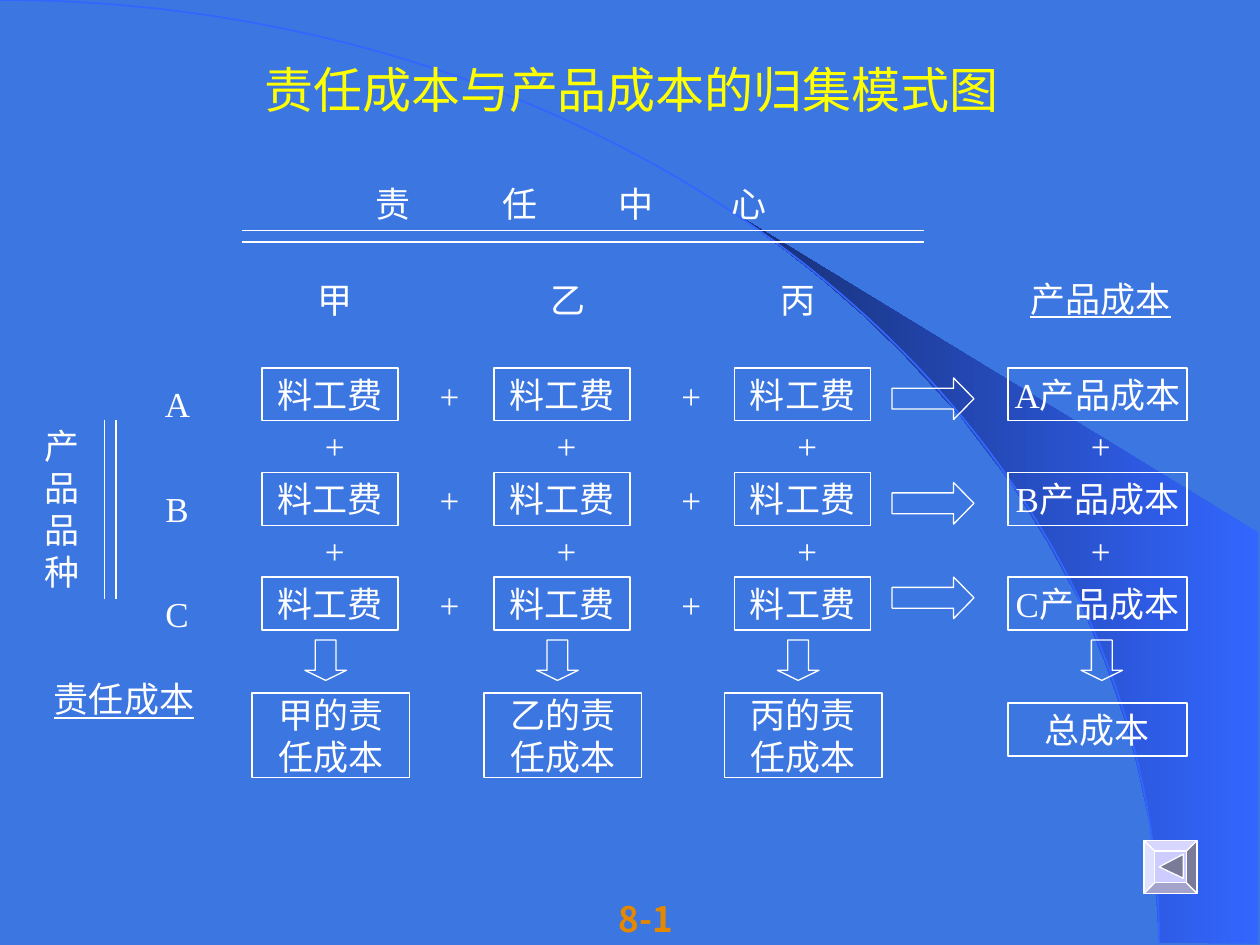
from lxml import etree
from pptx import Presentation
from pptx.dml.color import RGBColor
from pptx.enum.shapes import MSO_CONNECTOR, MSO_SHAPE
from pptx.enum.text import MSO_ANCHOR, PP_ALIGN
from pptx.oxml.ns import qn
from pptx.util import Inches, Pt

WHITE = "FFFFFF"
YELLOW = "FFFF00"
ORANGE = "E48800"
BLUE = "3366FF"
SERIF = "Times New Roman"
CHINESE = "Noto Sans CJK SC"

# Each center: left edge of its column, left edge of its label
CENTERS = {"甲": (2.08, 2.42), "乙": (3.92, 4.27), "丙": (5.83, 6.09)}
PRODUCTS = {"A": 2.92, "B": 3.75, "C": 4.58}  # top edge of each row
BOX_HEIGHT = 0.42
TOTAL_LEFT = 8

WEDGE = [
    (9.2, 7.48), (9.99, 7.49), (9.99, 4.23), (5.89, 1.73), (6.24, 1.99),
    (6.53, 2.22), (6.85, 2.5), (7.16, 2.8), (7.62, 3.3), (8.03, 3.84),
    (8.32, 4.31), (8.58, 4.79), (8.78, 5.28), (8.93, 5.72), (9.03, 6.09),
    (9.13, 6.56), (9.17, 6.96),
]
BUTTON_TRIANGLE = [(9.2, 6.88), (9.39, 6.78), (9.39, 6.97)]


def rgb(value):
    return RGBColor.from_string(value)


def place(left, top, width, height):
    return [Inches(value) for value in (left, top, width, height)]


def write(shape, text, size=20, color=WHITE, font=SERIF, align=PP_ALIGN.CENTER,
          wrap=False, bold=False, underline=False):
    frame = shape.text_frame
    frame.text = text
    frame.word_wrap = wrap
    for paragraph in frame.paragraphs:
        paragraph.alignment = align
        if text != "+":
            paragraph.line_spacing = Pt(size * 1.2)
        for run in paragraph.runs:
            run.font.size = Pt(size)
            run.font.name = font
            run.font.bold = bold
            run.font.underline = underline
            run.font.color.rgb = rgb(color)
            east_asian = etree.SubElement(run.font._element, qn("a:ea"))
            east_asian.set("typeface", CHINESE)


def add_label(slide, text, left, top, width=0.48, height=0.44, **style):
    shape = slide.shapes.add_textbox(*place(left, top, width, height))
    write(shape, text, **style)
    return shape


def set_line(shape, color=WHITE, weight=0.75):
    shape.line.color.rgb = rgb(color)
    shape.line.width = Pt(weight)


def set_fill(shape, color):
    shape.fill.solid()
    shape.fill.fore_color.rgb = rgb(color)


def add_outline(slide, kind, left, top, width, height, color=WHITE, weight=0.75):
    shape = slide.shapes.add_shape(kind, *place(left, top, width, height))
    shape.shadow.inherit = False
    shape.fill.background()
    set_line(shape, color, weight)
    return shape


def add_polygon(slide, points):
    # Whole hundredths of an inch, since the builder rounds its coordinates
    units = [(round(x * 100), round(y * 100)) for x, y in points]
    builder = slide.shapes.build_freeform(*units[0], scale=Inches(0.01))
    builder.add_line_segments(units[1:], close=True)
    shape = builder.convert_to_shape()
    shape.shadow.inherit = False
    return shape


def add_box(slide, text, left, top, width, height=BOX_HEIGHT):
    shape = add_outline(slide, MSO_SHAPE.RECTANGLE, left, top, width, height)
    write(shape, text)
    shape.text_frame.vertical_anchor = MSO_ANCHOR.MIDDLE


def add_plus(slide, left, top):
    add_label(slide, "+", left, top, 0.35)


def add_down_arrow(slide, left):
    arrow = add_outline(slide, MSO_SHAPE.DOWN_ARROW, left, 5.08, 0.33, 0.32)
    arrow.adjustments[1] = 0.25


def add_line(slide, x1, y1, x2, y2):
    line = slide.shapes.add_connector(MSO_CONNECTOR.STRAIGHT, *place(x1, y1, x2, y2))
    set_line(line)
    etree.SubElement(line._element.spPr, qn("a:effectLst"))


def add_background(slide):
    set_fill(slide.background, "3B76E1")
    # Shaded wedge
    wedge = add_polygon(slide, WEDGE)
    wedge.line.fill.background()
    wedge.fill.gradient()
    wedge.fill.gradient_angle = 180
    for stop, color in zip(wedge.fill.gradient_stops, (BLUE, "172F75")):
        stop.color.rgb = rgb(color)
    # Large curve
    add_outline(slide, MSO_SHAPE.ARC, -9.2, 0, 18.4, 14.97, BLUE, 1)


def add_headings(slide):
    add_label(slide, "责任成本与产品成本的归集模式图", 2, 0.42, 6.08, 0.57, size=28,
              color=YELLOW, align=PP_ALIGN.LEFT, wrap=True)
    # Responsibility centers, spread with tab stops
    heading = add_label(slide, "责\t任\t中\t心", 2.31, 1.4, 4.2,
                        align=PP_ALIGN.LEFT, wrap=True)
    heading.text_frame.margin_left = Inches(0.67)
    properties = heading.text_frame.paragraphs[0]._p.get_or_add_pPr()
    tabs = etree.SubElement(properties, qn("a:tabLst"))
    for position in (1.01, 1.93, 2.83):
        etree.SubElement(tabs, qn("a:tab"), pos=str(Inches(position)), algn="l")
    for y in (1.83, 1.92):
        add_line(slide, 1.92, y, 7.33, y)
    # Product kinds
    add_label(slide, "产\n品\n品\n种", 0.25, 3.32, height=1.44)
    for x in (0.83, 0.92):
        add_line(slide, x, 3.33, x, 4.75)
    for product, top in PRODUCTS.items():
        add_label(slide, product, 1.21, top + 0.07, 0.39)
    add_label(slide, "产品成本", 8.08, 2.15, 1.31, underline=True)
    add_label(slide, "责任成本", 0.33, 5.33, 1.31, underline=True)


def add_cost_grid(slide):
    tops = list(PRODUCTS.values())
    # Cost columns of the centers
    for center, (left, label_left) in CENTERS.items():
        add_label(slide, center, label_left, 2.16)
        for top in tops:
            add_box(slide, "料工费", left, top, 1.08)
        for top in tops[:-1]:
            add_plus(slide, left + 0.4, top + 0.4)
        add_down_arrow(slide, left + 0.34)
        add_box(slide, f"{center}的责\n任成本", left - 0.08, 5.5, 1.25, 0.67)
    # Sums along each row
    for top in tops:
        for left in (3.39, 5.31):
            add_plus(slide, left, top)
    for top in (3, 3.83, 4.58):
        arrow = add_outline(slide, MSO_SHAPE.RIGHT_ARROW, 7.08, top, 0.65, 0.33)
        arrow.adjustments[1] = 0.49
    # Product cost column
    for product, top in PRODUCTS.items():
        add_box(slide, f"{product}产品成本", TOTAL_LEFT, top, 1.42)
    for top in tops[:-1]:
        add_plus(slide, TOTAL_LEFT + 0.56, top + 0.4)
    add_down_arrow(slide, TOTAL_LEFT + 0.58)
    add_box(slide, "总成本", TOTAL_LEFT, 5.58, 1.42)


def add_footer(slide):
    # Back button
    button = add_outline(slide, MSO_SHAPE.BEVEL, 9.08, 6.67, 0.42, 0.42)
    button.adjustments[0] = 0.2
    set_fill(button, "CCCCFF")
    triangle = add_polygon(slide, BUTTON_TRIANGLE)
    set_fill(triangle, "7A7A99")
    set_line(triangle)
    # Page number
    add_label(slide, "8-1", 4.5, 7.07, 1.25, color=ORANGE, font=CHINESE,
              wrap=True, bold=True)


def main():
    presentation = Presentation()
    presentation.slide_width = Inches(10)
    presentation.slide_height = Inches(7.5)
    slide = presentation.slides.add_slide(presentation.slide_layouts[6])
    add_background(slide)
    add_headings(slide)
    add_cost_grid(slide)
    add_footer(slide)
    presentation.save("out.pptx")


if __name__ == "__main__":
    main()
